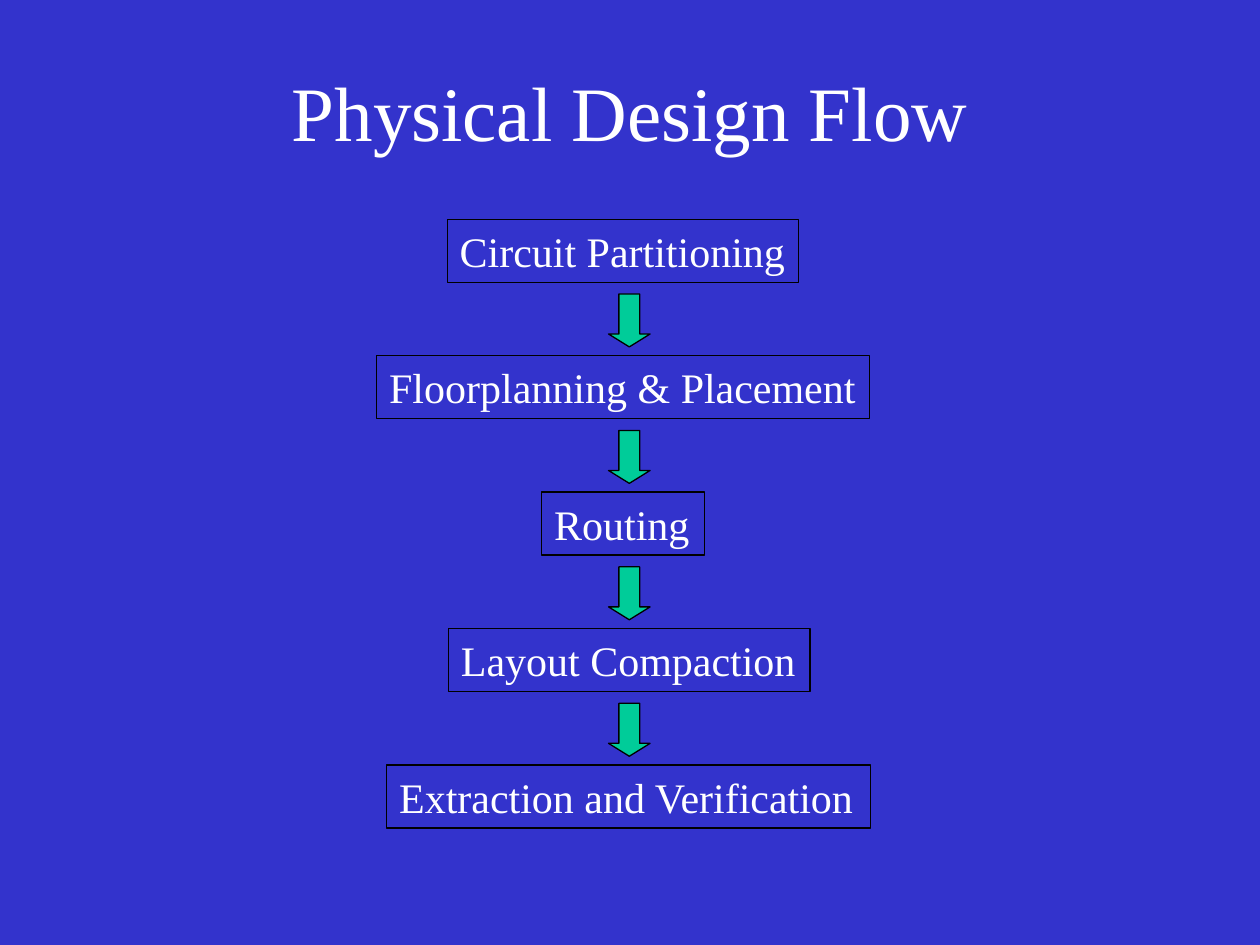
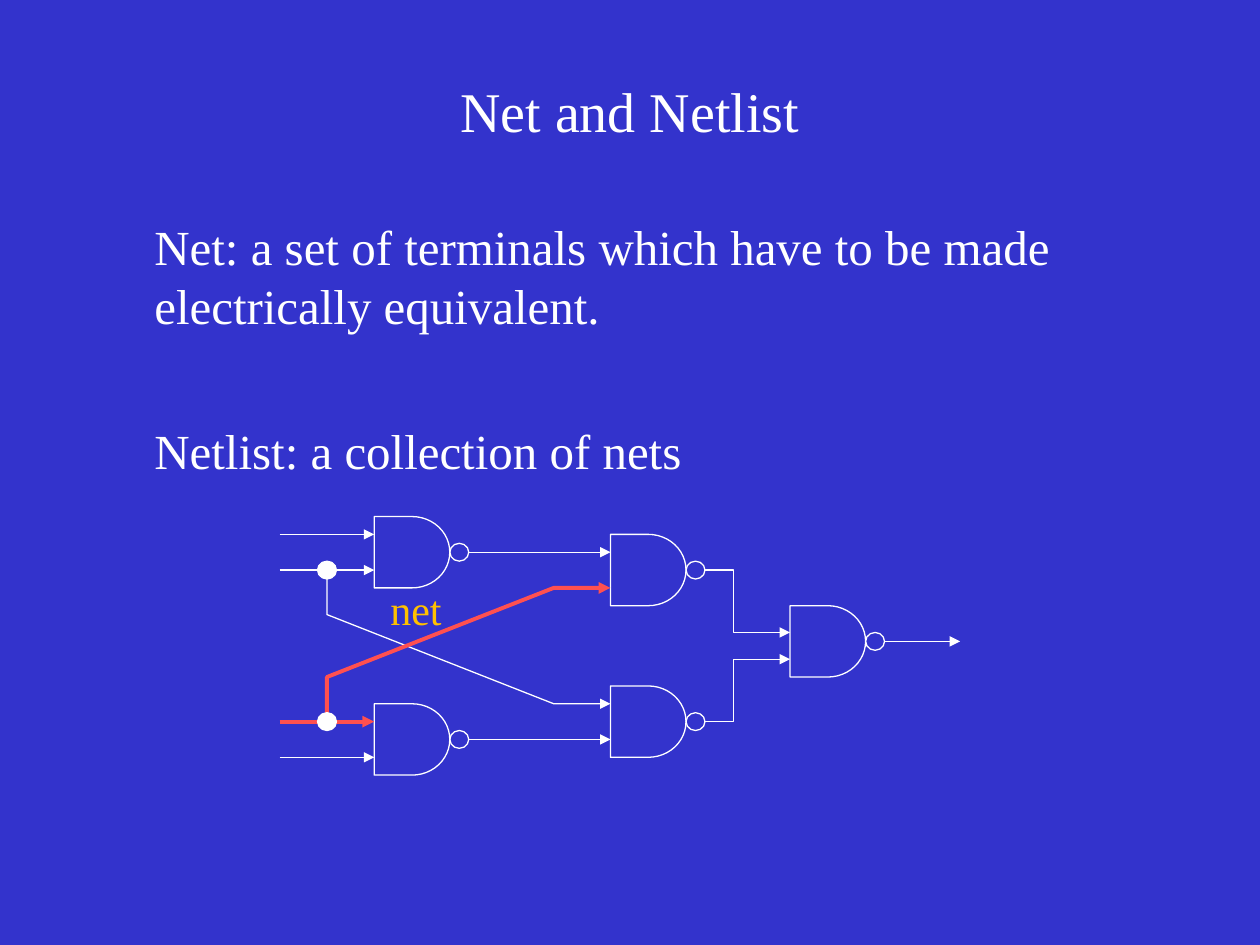
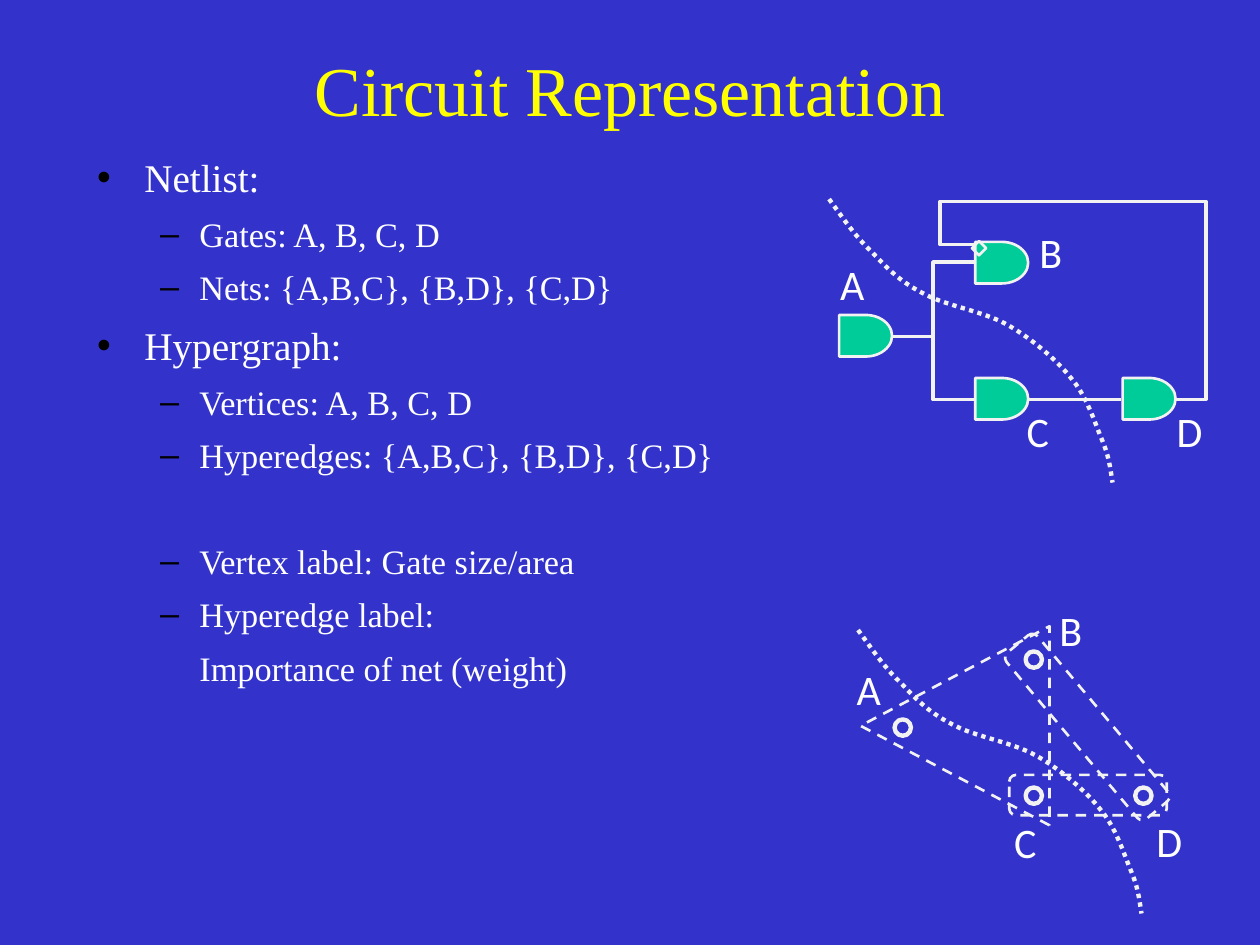
from lxml.etree import SubElement
from pptx import Presentation
from pptx.dml.color import RGBColor
from pptx.enum.dml import MSO_LINE
from pptx.enum.shapes import MSO_CONNECTOR, MSO_SHAPE
from pptx.enum.text import MSO_AUTO_SIZE
from pptx.oxml.ns import qn
from pptx.util import Inches, Pt

BLUE, GREEN, RED = "3333CC", "00CC99", "FF5050"
WHITE, PALE, BLACK = "FFFFFF", "F2F2F2", "000000"
YELLOW, AMBER = "FFFF00", "FFC000"
SERIF, SANS = "Times New Roman", "Calibri"
WIDTH, HEIGHT = 10, 7.5
SNUG = {"word_wrap": False, "auto_size": MSO_AUTO_SIZE.SHAPE_TO_FIT_TEXT}


def paint(shape, line, width, fill=None, dash=None, arrow=False):
    if hasattr(shape, "fill"):
        if fill:
            shape.fill.solid()
            shape.fill.fore_color.rgb = RGBColor.from_string(fill)
        else:
            shape.fill.background()
    shape.line.color.rgb = RGBColor.from_string(line)
    shape.line.width = Pt(width)
    if dash:
        shape.line.dash_style = dash
    outline = shape.element.spPr.find(qn("a:ln"))
    if arrow:
        SubElement(outline, qn("a:tailEnd")).set("type", "triangle")
    SubElement(shape.element.spPr, qn("a:effectLst"))


def write(para, text, size, color=WHITE, name=SERIF):
    span = para.add_run()
    span.text = text
    for key, value in {"size": Pt(size), "name": name}.items():
        setattr(span.font, key, value)
    span.font.color.rgb = RGBColor.from_string(color)


deck = Presentation()
deck.slide_width, deck.slide_height = Inches(WIDTH), Inches(HEIGHT)
backdrop = deck.slide_master.background.fill
backdrop.solid()
backdrop.fore_color.rgb = RGBColor.from_string(BLUE)

pages = []
for layout, heading, top, size, color in [
    (5, "Physical Design Flow", 0.25, 44, WHITE),
    (1, "Net and Netlist", 0.25, 32, WHITE),
    (1, "Circuit Representation", 0.08, 40, YELLOW),
]:
    page = deck.slides.add_slide(deck.slide_layouts[layout])
    title = page.shapes.title
    frame = {"left": 0.75, "top": top, "width": 0.85 * WIDTH, "height": 1.25}
    for key, value in frame.items():
        setattr(title, key, Inches(value))
    title.text_frame.auto_size = MSO_AUTO_SIZE.NONE
    write(title.text_frame.paragraphs[0], heading, size, color)
    pages.append(page)
flow, netlist, circuit = pages

definitions = [
    (0, False, 0, 28, "Net: a set of terminals which have to be made electrically equivalent."),
    (0, False, 49, 28, "Netlist: a collection of nets"),
]
outline_items = [
    (0, True, 0, 22.4, "Netlist:"),
    (1, True, 7, 19.6, "Gates: A, B, C, D"),
    (1, True, 7, 19.6, "Nets: {A,B,C}, {B,D}, {C,D}"),
    (0, True, 8, 22.4, "Hypergraph:"),
    (1, True, 7, 19.6, "Vertices: A, B, C, D"),
    (1, True, 7, 19.6, "Hyperedges: {A,B,C}, {B,D}, {C,D}"),
    (1, True, 37, 19.6, "Vertex label: Gate size/area"),
    (1, True, 7, 19.6, "Hyperedge label:"),
    (1, False, 7, 19.6, "Importance of net (weight)"),
]
for page, frame, items in [
    (netlist, {"left": 0.75, "top": 1.67, "width": 8.92, "height": 2.5}, definitions),
    (circuit, {"left": 0.67, "top": 1.17, "width": 8.5, "height": 4.5}, outline_items),
]:
    body = page.placeholders[1]
    for key, value in frame.items():
        setattr(body, key, Inches(value))
    body.text_frame.auto_size = MSO_AUTO_SIZE.NONE
    for index, (level, bulleted, before, size, text) in enumerate(items):
        para = body.text_frame.add_paragraph() if index else body.text_frame.paragraphs[0]
        para.level = level
        para.space_before = Pt(before)
        properties = para._p.get_or_add_pPr()
        if bulleted:
            tint = SubElement(properties, qn("a:buClr"))
            SubElement(tint, qn("a:srgbClr")).set("val", BLACK)
        else:
            properties.set("indent", "0")
            SubElement(properties, qn("a:buNone"))
        write(para, text, size)

step_top, step_pitch = 1.74, 1.083
steps = [
    ("Circuit Partitioning", 3.55, 2.79),
    ("Floorplanning & Placement", 2.99, 3.91),
    ("Routing", 4.3, 1.29),
    ("Layout Compaction", 3.56, 2.87),
    ("Extraction and Verification", 3.07, 3.84),
]
for index, (text, left, width) in enumerate(steps):
    top = step_top + index * step_pitch
    box = flow.shapes.add_textbox(*map(Inches, (left, top, width, 0.5)))
    for key, value in SNUG.items():
        setattr(box.text_frame, key, value)
    paint(box, BLACK, 0.75)
    write(box.text_frame.paragraphs[0], text, 24)
    if index:
        arrow = flow.shapes.add_shape(
            MSO_SHAPE.DOWN_ARROW, *map(Inches, (4.83, top - 0.49, 0.33, 0.42)))
        arrow.adjustments[0], arrow.adjustments[1] = 0.5, 0.31
        paint(arrow, BLACK, 0.75, GREEN)

grid_left, grid_top = 2.22, 4.1
col, row = WIDTH * 0.015, HEIGHT / 53
for x, y in [(5, 0), (5, 10.5), (17.5, 1), (17.5, 9.5), (27, 5)]:
    for kind, dx, dy, wide, high in [
        (MSO_SHAPE.FLOWCHART_DELAY, 0, 0, 4, 4),
        (MSO_SHAPE.OVAL, 4, 1.5, 1, 1),
    ]:
        part = netlist.shapes.add_shape(kind, *map(Inches, (
            grid_left + (x + dx) * col, grid_top + (y + dy) * row, wide * col, high * row)))
        paint(part, WHITE, 0.75)

for start, end, y, color, width in [
    (10, 17.5, 2, WHITE, 0.75),
    (10, 17.5, 12.5, WHITE, 0.75),
    (0, 5, 13.5, WHITE, 0.75),
    (0, 5, 11.5, RED, 2.25),
    (0, 5, 3, WHITE, 0.75),
    (0, 5, 1, WHITE, 0.75),
    (32, 36, 7, WHITE, 0.75),
]:
    level = grid_top + y * row
    wire = netlist.shapes.add_connector(MSO_CONNECTOR.STRAIGHT, *map(Inches, (
        grid_left + start * col, level, grid_left + end * col, level)))
    paint(wire, color, width, arrow=True)

for left, top in [(6.66, 2.5), (7.74, 1.92), (7.74, 3), (8.91, 3)]:
    gate = circuit.shapes.add_shape(
        MSO_SHAPE.FLOWCHART_DELAY, *map(Inches, (left, top, 0.42, 0.33)))
    paint(gate, PALE, 1.5, GREEN)

for kind, *ends in [
    (MSO_CONNECTOR.ELBOW, 7.08, 2.67, 7.73, 3.17),
    (MSO_CONNECTOR.ELBOW, 7.08, 2.67, 7.73, 2.08),
    (MSO_CONNECTOR.STRAIGHT, 8.17, 3.17, 8.9, 3.17),
]:
    paint(circuit.shapes.add_connector(kind, *map(Inches, ends)), PALE, 2)

for left, top in [(7.1, 5.71), (8.14, 5.17), (8.14, 6.25), (9.01, 6.25)]:
    vertex = circuit.shapes.add_shape(MSO_SHAPE.OVAL, *map(Inches, (left, top, 0.13, 0.13)))
    paint(vertex, PALE, 2.5)

for kind, turn, dash, *place in [
    (MSO_SHAPE.RECTANGLE, 45, None, 7.73, 1.93, 0.08, 0.08),
    (MSO_SHAPE.ROUNDED_RECTANGLE, 0, MSO_LINE.DASH, 8.01, 6.15, 1.25, 0.32),
    (MSO_SHAPE.ROUNDED_RECTANGLE, 50, MSO_LINE.DASH, 7.77, 5.61, 1.72, 0.32),
    (MSO_SHAPE.ISOSCELES_TRIANGLE, 270, MSO_LINE.DASH, 6.79, 5.01, 1.58, 1.5),
]:
    marker = circuit.shapes.add_shape(kind, *map(Inches, place))
    marker.rotation = turn
    paint(marker, PALE, 1.5, dash=dash)

for page, text, left, top, width, color, name in [
    (netlist, "net", 3, 4.58, 0.67, AMBER, SERIF),
    (circuit, "A", 6.57, 2, 0.44, WHITE, SANS),
    (circuit, "B", 8.15, 1.75, 0.42, WHITE, SANS),
    (circuit, "C", 8.05, 3.17, 0.44, WHITE, SANS),
    (circuit, "D", 9.24, 3.17, 0.4, WHITE, SANS),
    (circuit, "A", 6.7, 5.22, 0.44, WHITE, SANS),
    (circuit, "B", 8.31, 4.75, 0.42, WHITE, SANS),
    (circuit, "C", 7.95, 6.43, 0.44, WHITE, SANS),
    (circuit, "D", 9.08, 6.42, 0.4, WHITE, SANS),
]:
    label = page.shapes.add_textbox(*map(Inches, (left, top, width, 0.5)))
    label.text_frame.word_wrap = False
    write(label.text_frame.paragraphs[0], text, 24, color, name)

knots = [
    (0, 0), (0.11, 0.15), (0.21, 0.3), (0.34, 0.42), (0.46, 0.55), (0.57, 0.66),
    (0.75, 0.75), (0.93, 0.85), (1.23, 0.89), (1.42, 1), (1.61, 1.11), (1.8, 1.27),
    (1.92, 1.42), (2.05, 1.57), (2.11, 1.78), (2.17, 1.92), (2.23, 2.06), (2.24, 2.2),
    (2.25, 2.25),
]
smoothness = 10
cut = [knots[0]]
for first in range(0, len(knots) - 1, 3):
    for tick in range(1, smoothness + 1):
        t = tick / smoothness
        weights = ((1 - t) ** 3, 3 * t * (1 - t) ** 2, 3 * t * t * (1 - t), t ** 3)
        cut.append(tuple(
            sum(weight * knot[axis] for weight, knot in zip(weights, knots[first:first + 4]))
            for axis in (0, 1)))

crossing = [(2.5, 3), (2.5, 5.5), (14.5, 10.5), (17.5, 10.5)]
red_net = [(2.5, 11.5), (2.5, 9), (14.5, 4), (17.5, 4)]
upper_net = [(22.5, 3), (24, 3), (24, 6.5), (27, 6.5)]
lower_net = [(22.5, 11.5), (24, 11.5), (24, 8), (27, 8)]
feedback = [(9.33, 3.17), (9.57, 3.17), (9.57, 1.6), (7.46, 1.6), (7.46, 1.94), (7.74, 1.94)]
grid = (grid_left, grid_top, col, row)
for page, points, (left, top, across, down), color, width, dash in [
    (netlist, crossing, grid, WHITE, 0.75, None),
    (netlist, red_net, grid, RED, 2.25, None),
    (netlist, upper_net, grid, WHITE, 0.75, None),
    (netlist, lower_net, grid, WHITE, 0.75, None),
    (circuit, feedback, (0, 0, 1, 1), PALE, 2, None),
    (circuit, cut, (6.58, 1.58, 1, 1), PALE, 2.5, MSO_LINE.ROUND_DOT),
    (circuit, cut, (6.81, 5, 1, 1), PALE, 2.5, MSO_LINE.ROUND_DOT),
]:
    corners = [(Inches(left + x * across), Inches(top + y * down)) for x, y in points]
    builder = page.shapes.build_freeform(*corners[0])
    builder.add_line_segments(corners[1:], close=False)
    paint(builder.convert_to_shape(), color, width, dash=dash, arrow=page is netlist)

for x, y in [(2, 2.5), (2, 11)]:
    junction = netlist.shapes.add_shape(MSO_SHAPE.OVAL, *map(Inches, (
        grid_left + x * col, grid_top + y * row, col, row)))
    paint(junction, WHITE, 0.75, WHITE)

deck.save("out.pptx")
